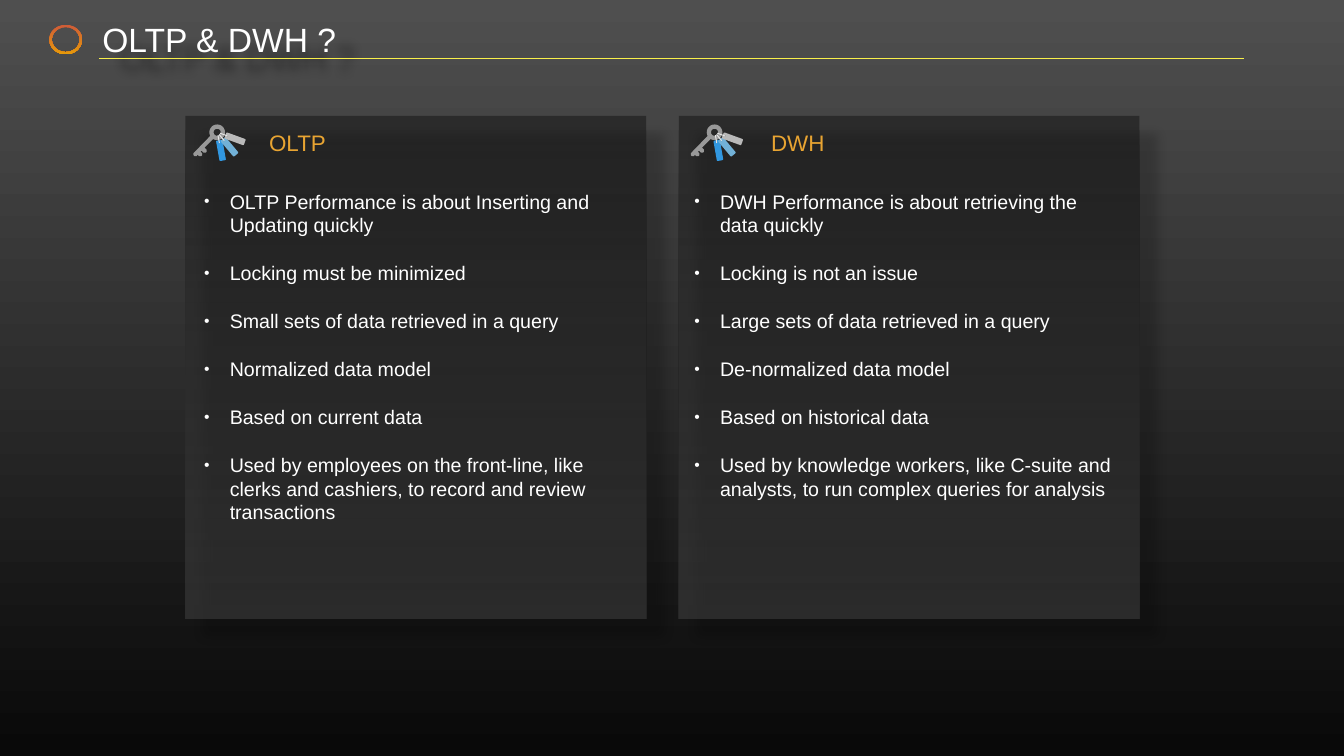
import math
from dataclasses import dataclass

from lxml import etree
from pptx import Presentation
from pptx import util as u
from pptx.dml.color import RGBColor
from pptx.enum import shapes, text
from pptx.oxml.ns import qn

PX = 9144  # EMU in one px, 100 px to the inch
FONT = "Arial"
COLORS = {
    "top": "4F4F4F", "bottom": "090909", "shadow": "010101",
    "white": "FFFFFF", "heading": "E8A432", "rule": "F8EF4A",
    "key": "999999", "string": "E5E5E5", "red": "CF5C37", "orange": "E69A0A",
}
PANEL_TOP, PANEL_WIDTH, PANEL_HEIGHT = 230, 914, 998
ICON_TOP = 247


@dataclass
class Column:
    heading: str
    points: list[str]
    panel_left: int
    icon_left: int
    heading_left: int
    body_left: int
    body_height: int


@dataclass
class Tag:
    angle: int
    color: str
    hole_color: str
    plate: tuple[int, int]
    hole: tuple[int, int]
    string: tuple[int, int]


COLUMNS = [
    Column("OLTP", [
        "OLTP Performance is about Inserting and Updating quickly",
        "Locking must be minimized",
        "Small sets of data retrieved in a query",
        "Normalized data model",
        "Based on current data",
        "Used by employees on the front-line, like clerks and cashiers, "
        "to record and review transactions",
    ], 368, 383, 526, 397, 786),
    Column("DWH", [
        "DWH Performance is about retrieving the data quickly",
        "Locking is not an issue",
        "Large sets of data retrieved in a query",
        "De-normalized data model",
        "Based on historical data",
        "Used by knowledge workers, like C-suite and analysts, "
        "to run complex queries for analysis",
    ], 1347, 1370, 1522, 1370, 807),
]
# Positions inside the key icon
TAGS = [
    Tag(80, "3197E0", "3484C9", (35, 45), (50, 34), (43, 28)),
    Tag(50, "72B1D7", "649ABC", (52, 38), (60, 30), (49, 25)),
    Tag(20, "B9B9B9", "999999", (63, 22), (67, 21), (53, 19)),
]
KEY_BLADE = [(34, 23), (1, 57), (1, 61), (3, 63), (7, 63), (9, 60), (12, 63),
             (16, 63), (18, 61), (18, 57), (15, 54), (17, 52), (21, 56),
             (25, 56), (27, 54), (27, 50), (23, 46), (40, 29)]


def rgb(name: str) -> RGBColor:
    return RGBColor.from_string(COLORS.get(name, name))


def place(shape, left: int, top: int, width: int, height: int) -> None:
    shape.left, shape.top = left * PX, top * PX
    shape.width, shape.height = width * PX, height * PX


def set_gradient(fill, first: str, last: str) -> None:
    """Vertical gradient, first colour at the top."""
    fill.gradient()
    fill.gradient_angle = 270
    for stop, name in zip(fill.gradient_stops, (first, last)):
        stop.color.rgb = rgb(name)


def set_shadow(shape) -> None:
    shape.shadow.inherit = False
    effects = shape.element.spPr.find(qn("a:effectLst"))
    shadow = etree.SubElement(
        effects, qn("a:outerShdw"), blurRad=str(u.Pt(15)), dist=str(u.Pt(36)),
        dir="2700000", algn="tl", rotWithShape="0")
    color = etree.SubElement(shadow, qn("a:srgbClr"), val=COLORS["shadow"])
    etree.SubElement(color, qn("a:alpha"), val="46000")


def finish(shape, color: str = "", angle: int = 0) -> None:
    shape.shadow.inherit = False
    shape.line.fill.background()
    shape.rotation = angle
    if color:
        shape.fill.solid()
        shape.fill.fore_color.rgb = rgb(color)


def add_shape(parent, kind, left: int, top: int, width: int, height: int,
              color: str = "", angle: int = 0):
    shape = parent.shapes.add_shape(
        kind, left * PX, top * PX, width * PX, height * PX)
    finish(shape, color, angle)
    return shape


def write_text(para, words: str, *, size: int, color: str) -> None:
    para.alignment = text.PP_ALIGN.LEFT
    span = para.add_run()
    span.text = words
    span.font.name = FONT
    span.font.size = u.Pt(size)
    span.font.color.rgb = rgb(color)


def prepare_frame(frame, anchor) -> None:
    frame.word_wrap = True
    frame.auto_size = text.MSO_AUTO_SIZE.NONE
    frame.vertical_anchor = anchor
    frame.margin_left = frame.margin_right = 8 * PX
    frame.margin_top = frame.margin_bottom = 8 * PX


def add_bullet(para) -> None:
    props = para._p.get_or_add_pPr()
    props.set("marL", str(51 * PX))
    props.set("indent", str(-51 * PX))
    color = etree.SubElement(props, qn("a:buClr"))
    etree.SubElement(color, qn("a:srgbClr"), val=COLORS["white"])
    etree.SubElement(props, qn("a:buSzPct"), val="80000")
    etree.SubElement(props, qn("a:buFont"), typeface=FONT)
    etree.SubElement(props, qn("a:buChar"), char="•")


def arc(radius: float, start: int, end: int) -> list[tuple[float, float]]:
    """Points in tenths of a px around the centre of the key's head."""
    turns = [math.radians(start + (end - start) * i / 36) for i in range(37)]
    return [(480 + 10 * radius * math.cos(t), 155 + 10 * radius * math.sin(t))
            for t in turns]


def draw_keys(group, left: int) -> None:
    outline = [(10 * x, 10 * y) for x, y in KEY_BLADE] + arc(15.5, 121, -208)
    hole = arc(7, 0, 360)
    builder = group.shapes.build_freeform(*outline[0], scale=PX / 10)
    builder.add_line_segments(outline[1:], close=True)
    builder.move_to(*hole[0])
    builder.add_line_segments(hole[1:], close=True)
    finish(builder.convert_to_shape(left * PX, ICON_TOP * PX), "key")

    rounded, oval = shapes.MSO_SHAPE.ROUNDED_RECTANGLE, shapes.MSO_SHAPE.OVAL
    for tag in TAGS:
        for kind, (x, y), size, color in (
                (rounded, tag.plate, (41, 13), tag.color),
                (oval, tag.hole, (3, 3), tag.hole_color),
                (rounded, tag.string, (16, 2), "string")):
            add_shape(group, kind, left + x, ICON_TOP + y, *size, color, tag.angle)


def draw_column(page, column: Column, body) -> None:
    # Panel with icon and heading
    group = page.shapes.add_group_shape()
    panel = add_shape(group, shapes.MSO_SHAPE.RECTANGLE, column.panel_left,
                      PANEL_TOP, PANEL_WIDTH, PANEL_HEIGHT)
    set_gradient(panel.fill, "bottom", "top")
    for color in panel.element.spPr.iter(qn("a:srgbClr")):
        etree.SubElement(color, qn("a:alpha"), val="41000")
    set_shadow(panel)
    draw_keys(group, column.icon_left)
    box = group.shapes.add_textbox(column.heading_left * PX, 252 * PX,
                                   457 * PX, 63 * PX)
    prepare_frame(box.text_frame, text.MSO_ANCHOR.MIDDLE)
    write_text(box.text_frame.paragraphs[0], column.heading,
               size=32, color="heading")

    # Bullet list, in front of the panel
    place(body, column.body_left, 368, 856, column.body_height)
    page.shapes.element.append(body.element)
    frame = body.text_frame
    prepare_frame(frame, text.MSO_ANCHOR.TOP)
    for index, point in enumerate(column.points):
        para = frame.add_paragraph() if index else frame.paragraphs[0]
        add_bullet(para)
        para.space_before = u.Pt(35 if index else 0)
        write_text(para, point, size=28, color="white")


def main() -> None:
    deck = Presentation()
    deck.slide_width, deck.slide_height = 2667 * PX, 1500 * PX
    page = deck.slides.add_slide(deck.slide_layouts.get_by_name("Two Content"))
    set_gradient(page.background.fill, "top", "bottom")
    title, *bodies = page.placeholders

    for column, body in zip(COLUMNS, bodies):
        draw_column(page, column, body)

    # Title and rule
    place(title, 195, 39, 1057, 77)
    page.shapes.element.append(title.element)
    prepare_frame(title.text_frame, text.MSO_ANCHOR.MIDDLE)
    write_text(title.text_frame.paragraphs[0], "OLTP & DWH ?",
               size=48, color="white")
    set_shadow(title)
    rule = page.shapes.add_connector(shapes.MSO_CONNECTOR.STRAIGHT,
                                     197 * PX, 115 * PX, 2469 * PX, 115 * PX)
    rule.line.color.rgb = rgb("rule")
    rule.line.width = u.Pt(1)
    etree.SubElement(rule.element.spPr, qn("a:effectLst"))

    # Plain ring beside the title
    ring = add_shape(page, shapes.MSO_SHAPE.DONUT, 98, 49, 65, 59)
    ring.adjustments[0] = 0.08
    set_gradient(ring.fill, "red", "orange")

    deck.save("out.pptx")


if __name__ == "__main__":
    main()
